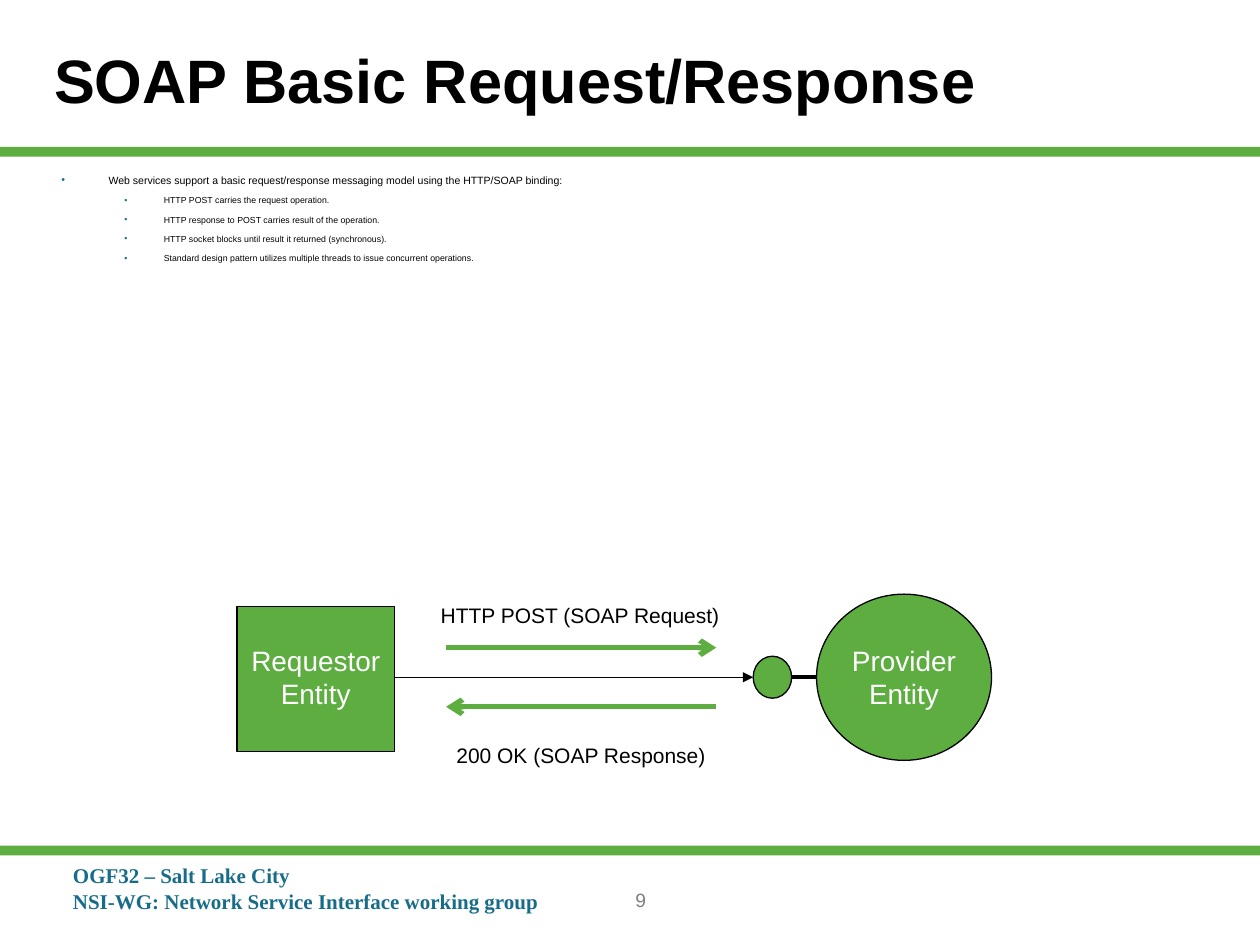
import dataclasses

import lxml.etree
import pptx
import pptx.dml.color
import pptx.enum.shapes
import pptx.enum.text
import pptx.oxml.ns
import pptx.util

Pt = pptx.util.Pt
Shape = pptx.enum.shapes.MSO_SHAPE
Align = pptx.enum.text.PP_ALIGN
Anchor = pptx.enum.text.MSO_ANCHOR


@dataclasses.dataclass(frozen=True)
class Theme:
    green: str = "5DAD41"
    teal: str = "176D89"
    black: str = "000000"
    white: str = "FFFFFF"
    gray: str = "808080"
    sans: str = "Arial"
    serif: str = "Times New Roman"
    title: float = 35
    node: float = 16
    label: float = 12
    number: float = 11
    point: float = 6
    detail: float = 5
    thin: float = 0.75
    stem: float = 2
    thick: float = 3


def color(value):
    return pptx.dml.color.RGBColor.from_string(value)


def add_tag(parent, name, **attrs):
    return lxml.etree.SubElement(parent, pptx.oxml.ns.qn(name), attrs)


class Painter:
    def __init__(self, slide, theme):
        self.slide = slide
        self.theme = theme

    def shape(self, kind, left, top, width, height, edge=True):
        shape = self.slide.shapes.add_shape(
            kind, Pt(left), Pt(top), Pt(width), Pt(height))
        shape.shadow.inherit = False
        shape.fill.solid()
        shape.fill.fore_color.rgb = color(self.theme.green)
        if edge:
            shape.line.color.rgb = color(self.theme.black)
            shape.line.width = Pt(self.theme.thin)
        else:
            shape.line.fill.background()

    def line(self, start, end, tint, width, **tips):
        line = self.slide.shapes.add_connector(
            pptx.enum.shapes.MSO_CONNECTOR.STRAIGHT,
            *(Pt(value) for value in (*start, *end)))
        line.line.color.rgb = color(tint)
        line.line.width = Pt(width)
        props = line._element.spPr
        stroke = props.find(pptx.oxml.ns.qn("a:ln"))
        for tip, kind in tips.items():
            add_tag(stroke, f"a:{tip}End", type=kind)
        add_tag(props, "a:effectLst")

    def frame(self, left, top, width, height, wrap=True):
        box = self.slide.shapes.add_textbox(
            Pt(left), Pt(top), Pt(width), Pt(height))
        box.text_frame.word_wrap = wrap
        return box.text_frame

    def run(self, para, words, size, tint, font, bold=False):
        run = para.add_run()
        run.text = words
        run.font.size = Pt(size)
        run.font.name = font
        run.font.bold = bold
        run.font.color.rgb = color(tint)

    def text(self, area, lines, size, tint, font=None, bold=False,
             align=Align.LEFT, wrap=True, anchor=Anchor.TOP):
        frame = self.frame(*area, wrap)
        frame.vertical_anchor = anchor
        for index, words in enumerate(lines):
            para = frame.add_paragraph() if index else frame.paragraphs[0]
            para.alignment = align
            self.run(para, words, size, tint, font or self.theme.sans, bold)

    def bullets(self, area, items):
        theme = self.theme
        levels = ((theme.point, 27, 27), (theme.detail, 58.5, 22.5))
        frame = self.frame(*area)
        for index, (level, words) in enumerate(items):
            size, margin, hang = levels[level]
            para = frame.add_paragraph() if index else frame.paragraphs[0]
            para.level = level
            if index:
                para.space_before = Pt(size)
            props = para._p.get_or_add_pPr()
            props.set("marL", str(Pt(margin)))
            props.set("indent", str(-Pt(hang)))
            add_tag(add_tag(props, "a:buClr"), "a:srgbClr", val=theme.teal)
            add_tag(props, "a:buFont", typeface=theme.sans)
            add_tag(props, "a:buChar", char="•")
            self.run(para, words, size, theme.black, theme.sans)


def main():
    deck = pptx.Presentation()
    deck.slide_width, deck.slide_height = Pt(720), Pt(540)
    theme = Theme()
    paint = Painter(deck.slides.add_slide(deck.slide_layouts[6]), theme)

    for top in (84, 483.2):
        paint.shape(Shape.RECTANGLE, 0, top, 720, 5.6, edge=False)
    paint.text((34.6, 489.6, 432.7, 36),
               ("OGF32 – Salt Lake City",
                "NSI-WG: Network Service Interface working group"),
               theme.label, theme.teal, theme.serif, bold=True)
    paint.text((23.8, 0, 612, 90), ("SOAP Basic Request/Response",),
               theme.title, theme.black, bold=True, anchor=Anchor.MIDDLE)
    paint.bullets((28, 95.8, 678, 60), (
        (0, "Web services support a basic request/response messaging model "
            "using the HTTP/SOAP binding:"),
        (1, "HTTP POST carries the request operation."),
        (1, "HTTP response to POST carries result of the operation."),
        (1, "HTTP socket blocks until result it returned (synchronous)."),
        (1, "Standard design pattern utilizes multiple threads to issue "
            "concurrent operations."),
    ))
    paint.text((156.2, 504, 420, 36), ("9",), theme.number, theme.gray,
               align=Align.CENTER)

    axis = 387
    paint.line((225.4, axis), (430.4, axis), theme.black, theme.thin,
               tail="triangle")
    paint.shape(Shape.RECTANGLE, 135.4, 346.7, 90, 82.8)
    paint.shape(Shape.OVAL, 430.4, 375, 22, 24)
    paint.line((452.4, axis), (466.6, axis), theme.black, theme.stem)
    paint.shape(Shape.OVAL, 466.6, 339.5, 100, 95)
    for name, left, width in (("Requestor", 136.5, 88),
                              ("Provider", 479.8, 73.6)):
        paint.text((left, 364, width, 46), (name, "Entity"),
                   theme.node, theme.white, align=Align.CENTER, wrap=False)

    for words, left, top, width, height, tips in (
            ("HTTP POST (SOAP Request)", 244.1, 340.8, 174.2, 370.1,
             {"tail": "arrow"}),
            ("200 OK (SOAP Response)", 253.4, 420.8, 157, 403.9,
             {"head": "arrow"})):
        paint.text((left, top, width, 21.8), (words,), theme.label,
                   theme.black, align=Align.RIGHT, wrap=False)
        paint.line((254.9, height), (409.3, height), theme.green,
                   theme.thick, **tips)

    deck.save("out.pptx")


if __name__ == "__main__":
    main()
